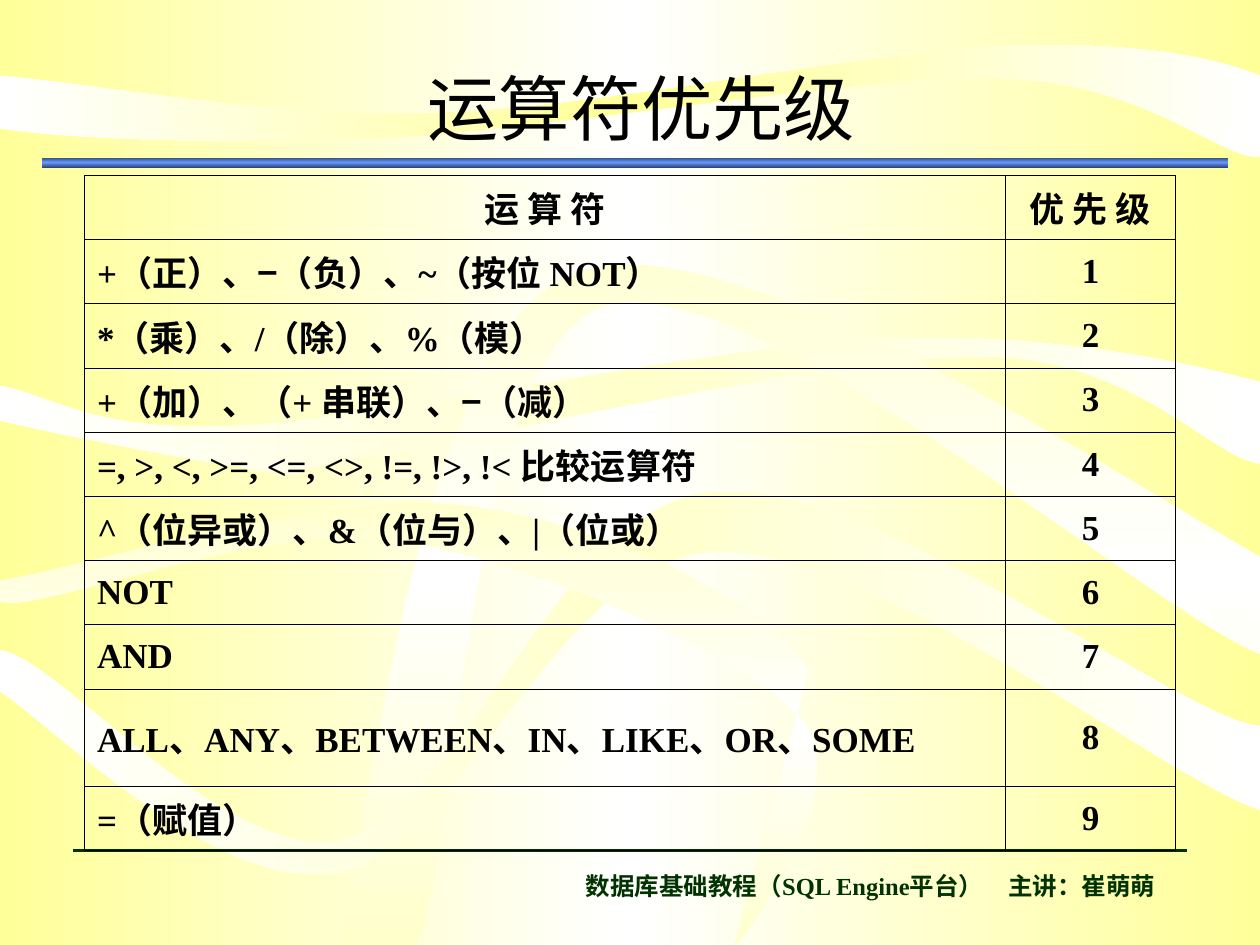
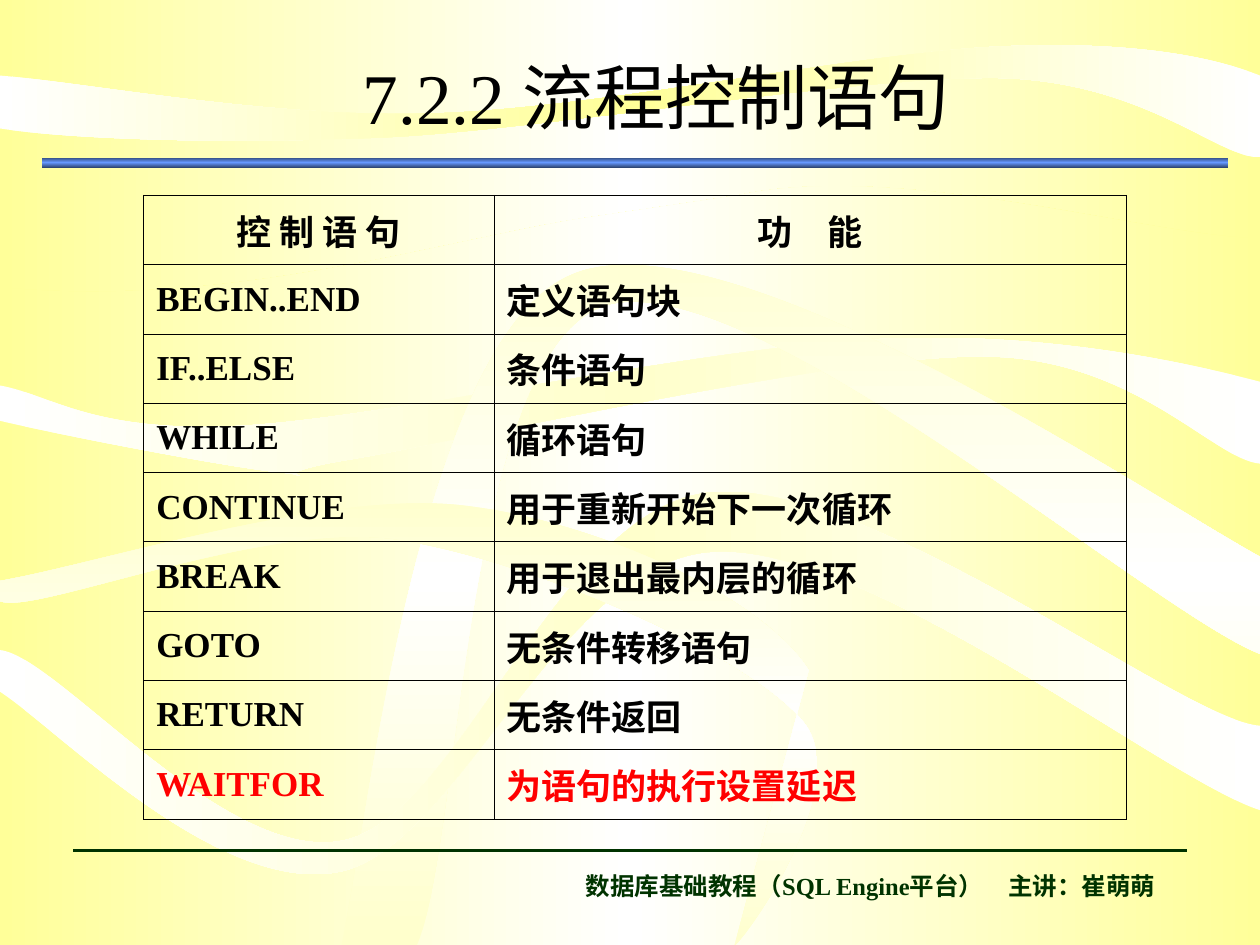
from copy import deepcopy
from lxml import etree
from pptx import Presentation
from pptx import util as u
from pptx.dml.color import RGBColor
from pptx.enum import shapes, text
from pptx.oxml.ns import qn

W, H = 10, 7.5
SERIF, SANS = "Times New Roman", "Arial"
C = {"yellow": "FFFF99", "cream": "FFFFCC", "white": "FFFFFF", "navy": "2F4776",
     "blue": "6699FF", "green": "003300", "black": "000000", "red": "FF0000"}
MINUS = ("−", SANS)

# Content: a text is a string or a list of strings and (string, font) pairs;
# wide gaps are en spaces or full-width spaces
FOOTER = "数据库基础教程（SQL Engine平台）　主讲：崔萌萌"

OPERATORS = [
    ["+（正）、", MINUS, "（负）、~（按位 NOT）"],
    "*（乘）、/（除）、%（模）",
    ["+（加）、（+ 串联）、", MINUS, "（减）"],
    "=, >, <, >=, <=, <>, !=, !>, !< 比较运算符",
    "^（位异或）、&（位与）、|（位或）",
    "NOT",
    "AND",
    "ALL、ANY、BETWEEN、IN、LIKE、OR、SOME",
    "=（赋值）",
]
STATEMENTS = [
    ("BEGIN..END", "定义语句块"),
    ("IF..ELSE", "条件语句"),
    ("WHILE", "循环语句"),
    ("CONTINUE", "用于重新开始下一次循环"),
    ("BREAK", "用于退出最内层的循环"),
    ("GOTO", "无条件转移语句"),
    ("RETURN", "无条件返回"),
    ("WAITFOR", "为语句的执行设置延迟"),
]
SLIDES = [
    {"title": "运算符优先级", "title_at": (0.83, 0.42),
     "head": ("运 算 符", "优 先 级"),
     "rows": [(op, str(i)) for i, op in enumerate(OPERATORS, 1)],
     "at": (0.67, 1.39), "cols": (7.31, 1.35), "row_h": 0.51, "tall": {8: 0.77},
     "centred": {1}, "red_rows": set()},
    {"title": "7.2.2 流程控制语句", "title_at": (0.95, 0.33),
     "head": ("控 制 语 句", "功　能"),
     "rows": STATEMENTS,
     "at": (1.14, 1.55), "cols": (2.78, 5.02), "row_h": 0.55, "tall": {},
     "centred": set(), "red_rows": {8}},
]

# Background ribbons: edge colour, middle colour, angle, start, segments
# (two numbers make a line, six a Bézier curve)
RIBBONS = [
    ("yellow", "white", 0, (0, 2.28), [
        (1.78, 2.45, 3.4, 1.94, 4.58, 1.74), (4.58, 1.74, 5.67, 1.58, 5.86, 1.55),
        (7.15, 1.27, 9.17, 1.89, 10, 1.89), (10, 7.5), (0, 7.5)]),
    ("white", "yellow", 0, (0, 0.6), [
        (0, 1.02), (0.51, 1.1, 1.76, 1.15, 3.08, 1.09), (4.4, 1.02, 6.79, 0.6, 7.94, 0.62),
        (9.09, 0.65, 9.66, 1.25, 10, 1.25), (10, 0.6), (9.65, 0.46, 9.01, 0.32, 7.92, 0.37),
        (6.82, 0.42, 4.77, 0.86, 3.45, 0.9), (2.13, 0.94, 0.72, 0.66, 0, 0.6)]),
    ("white", "cream", 0, (0, 3.06), [
        (0, 3.34), (0.37, 3.43, 1.75, 3.7, 2.22, 3.75), (2.69, 3.8, 1.9, 3.79, 2.82, 3.64),
        (3.75, 3.48, 6.6, 2.82, 7.8, 2.83), (9, 2.83, 9.63, 3.65, 10, 3.68), (10, 3.03),
        (9.5, 2.9, 8.36, 2.63, 7.01, 2.69), (5.66, 2.74, 3.07, 3.32, 1.9, 3.38),
        (0.73, 3.44, 0.4, 3.13, 0, 3.06)]),
    ("cream", "white", 90, (2.71, 7.5), [
        (2.91, 6.61, 3.32, 2.69, 4.54, 2.18), (5.75, 1.66, 9.09, 3.92, 10, 4.42), (10, 5.19),
        (9.13, 4.85, 5.91, 2.05, 4.79, 2.43), (3.68, 2.82, 3.66, 6.66, 3.31, 7.5)]),
    ("white", "cream", 0, (0, 5.16), [
        (0, 5.49), (0.45, 5.78, 1.74, 7.11, 2.69, 6.92), (3.63, 6.74, 4.43, 4.46, 5.65, 4.38),
        (6.87, 4.29, 9.27, 6.2, 10, 6.43), (10, 5.76), (9.38, 5.72, 6.91, 3.77, 5.62, 3.91),
        (4.41, 4.06, 3.67, 6.46, 2.73, 6.67), (1.79, 6.87, 0.45, 5.2, 0, 5.16)]),
    ("cream", "white", 90, (0, 4.61), [
        (0, 4.77), (0.26, 4.89, 2.08, 4.13, 3.14, 4.28), (4.2, 4.44, 5.92, 5.18, 6.37, 5.72),
        (6.82, 6.25, 5.82, 7.57, 5.83, 7.5), (6.42, 5.32), (6.06, 4.74, 4.73, 4.13, 3.66, 4.01),
        (2.59, 3.89, 0.76, 4.48, 0, 4.61)]),
]


def rgb(name):
    return RGBColor.from_string(C[name])


def inches(values):
    return [u.Inches(v) for v in values]


def gradient(fill, element, edge, middle, angle):
    """Fill with edge - middle - edge; element is the XML that holds the fill."""
    fill.gradient()
    fill.gradient_angle = angle
    stops = element.find(".//" + qn("a:gsLst"))
    stops.insert(1, deepcopy(stops[0]))
    for stop, name, pos in zip(fill.gradient_stops, (edge, middle, edge), (0, 0.5, 1)):
        stop.color.rgb = rgb(name)
        stop.position = pos


def write(tf, content, size=20, color="black", bold=False, font=SERIF, align="LEFT", leading=None):
    p = tf.paragraphs[0]
    p.alignment = getattr(text.PP_ALIGN, align)
    if leading:
        p.line_spacing = leading
    for item in [content] if isinstance(content, str) else content:
        words, face = (item, font) if isinstance(item, str) else item
        r = p.add_run()
        r.text = words
        r.font.size, r.font.bold, r.font.name = u.Pt(size), bold, face
        r.font.color.rgb = rgb(color)


def text_box(s, box, content, anchor="TOP", **fmt):
    tf = s.shapes.add_textbox(*inches(box)).text_frame
    tf.word_wrap = True
    tf.vertical_anchor = getattr(text.MSO_ANCHOR, anchor)
    write(tf, content, **fmt)


def finish(sp, edge, middle, angle):
    sp.shadow.inherit = False
    sp.line.fill.background()
    gradient(sp.fill, sp.element, edge, middle, angle)


def ribbon(s, edge, middle, angle, start, segments):
    builder = s.shapes.build_freeform(*inches(start))
    for seg in segments:
        points = [inches(seg[i:i + 2]) for i in range(0, len(seg), 2)]
        builder.add_line_segments(points, close=False)
    builder.add_line_segments([], close=True)
    sp = builder.convert_to_shape()

    # Join each three points of a curve into one Bézier segment
    steps = iter(sp.element.findall(".//" + qn("a:lnTo")))
    for seg in segments:
        first = next(steps)
        if len(seg) == 6:
            first.addprevious(curve := etree.Element(qn("a:cubicBezTo")))
            for step in (first, next(steps), next(steps)):
                curve.append(step[0])
                step.getparent().remove(step)
    finish(sp, edge, middle, angle)


def backdrop(s):
    gradient(s.background.fill, s.element, "yellow", "white", 0)
    for spec_row in RIBBONS:
        ribbon(s, *spec_row)

    # Footer rule and text
    rule = s.shapes.add_connector(shapes.MSO_CONNECTOR.STRAIGHT,
                                  *inches((0.58, 0.9 * H, W - 0.58, 0.9 * H)))
    rule.line.color.rgb, rule.line.width = rgb("green"), u.Pt(2)
    etree.SubElement(rule.element.spPr, qn("a:effectLst"))
    text_box(s, (4.31, 6.86, 5.2, 0.42), FOOTER, size=14, color="green", bold=True, align="CENTER")


def title(s, content, at):
    text_box(s, (*at, 8.52, 0.83), content, anchor="BOTTOM", size=40.7, align="CENTER", leading=0.9)
    bar = s.shapes.add_shape(shapes.MSO_SHAPE.RECTANGLE, *inches((0.33, H / 6, 9.42, 0.08)))
    finish(bar, "navy", "blue", 90)


def borders(cell):
    tcPr = cell._tc.get_or_add_tcPr()
    for i, side in enumerate(("lnL", "lnR", "lnT", "lnB")):
        ln = etree.Element(qn("a:" + side), w=str(u.Pt(0.45)))
        fill = etree.SubElement(ln, qn("a:solidFill"))
        etree.SubElement(fill, qn("a:srgbClr"), val=C["black"])
        tcPr.insert(i, ln)


def table(s, d):
    rows = [d["head"], *d["rows"]]
    heights = [d["tall"].get(i, d["row_h"]) for i in range(len(rows))]
    box = inches((*d["at"], sum(d["cols"]), sum(heights)))
    tbl = s.shapes.add_table(len(rows), len(d["cols"]), *box).table
    tbl.first_row = tbl.horz_banding = False
    for col, width in zip(tbl.columns, d["cols"]):
        col.width = u.Inches(width)
    for i, (row, height) in enumerate(zip(rows, heights)):
        tbl.rows[i].height = u.Inches(height)
        for j, content in enumerate(row):
            cell = tbl.cell(i, j)
            cell.fill.background()
            cell.vertical_anchor = text.MSO_ANCHOR.MIDDLE
            borders(cell)
            write(cell.text_frame, content, bold=True,
                  color="red" if i in d["red_rows"] else "black",
                  align="CENTER" if i == 0 or j in d["centred"] else "LEFT")


def main():
    prs = Presentation()
    prs.slide_width, prs.slide_height = inches((W, H))
    for d in SLIDES:
        s = prs.slides.add_slide(prs.slide_layouts[6])
        backdrop(s)
        title(s, d["title"], d["title_at"])
        table(s, d)
    prs.save("out.pptx")


if __name__ == "__main__":
    main()
